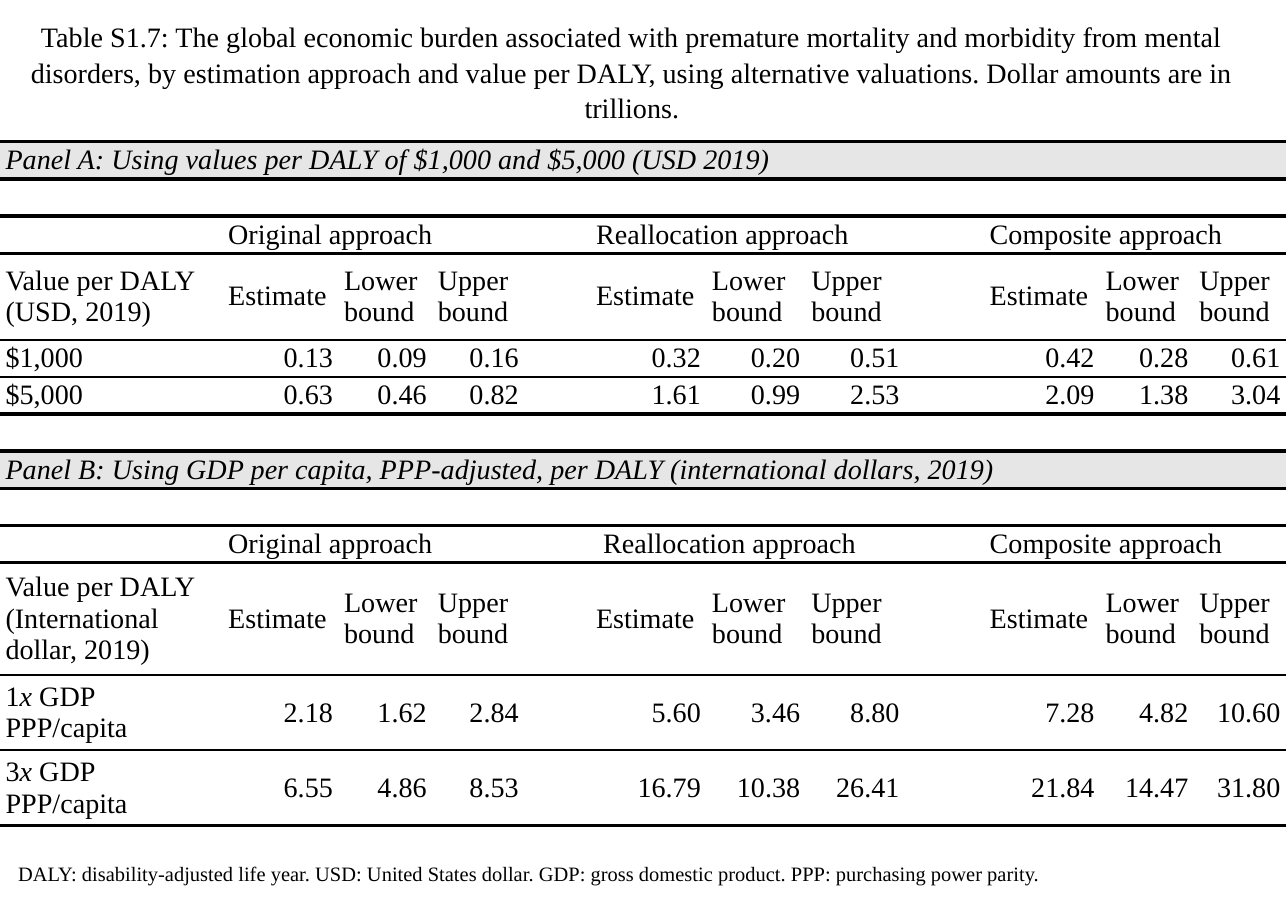
"""Build a slide with a two-panel table of the economic burden of mental disorders."""
from pptx import Presentation, util as u
from pptx.dml.color import RGBColor
from pptx.enum import text
from pptx.oxml import ns, xmlchemy

TITLE = ("Table S1.7: The global economic burden associated with premature mortality and "
         "morbidity from mental disorders, by estimation approach and value per DALY, using "
         "alternative valuations. Dollar amounts are in trillions.")
NOTE = ("DALY: disability-adjusted life year. USD: United States dollar. "
        "GDP: gross domestic product. PPP: purchasing power parity.")
MEASURES = ["Estimate", "Lower bound", "Upper bound"]
PANELS = [
    {
        "title": "Panel A: Using values per DALY of $1,000 and $5,000 (USD 2019)",
        "approaches": ["Original approach", "Reallocation approach", "Composite approach"],
        "label": "Value per DALY (USD, 2019)",
        "values": [
            (["$1,000"], "0.13 0.09 0.16 0.32 0.20 0.51 0.42 0.28 0.61"),
            (["$5,000"], "0.63 0.46 0.82 1.61 0.99 2.53 2.09 1.38 3.04"),
        ],
        "header_height": 0.47,
        "value_height": None,
    },
    {
        "title": "Panel B: Using GDP per capita, PPP-adjusted, per DALY (international dollars, 2019)",
        "approaches": ["Original approach", " Reallocation approach", "Composite approach"],
        "label": "Value per DALY (International dollar, 2019)",
        "values": [
            (["1", "x ", "GDP PPP/capita"], "2.18 1.62 2.84 5.60 3.46 8.80 7.28 4.82 10.60"),
            (["3", "x ", "GDP PPP/capita"], "6.55 4.86 8.53 16.79 10.38 26.41 21.84 14.47 31.80"),
        ],
        "header_height": 0.61,
        "value_height": 0.41,
    },
]
THEME = {
    "font": "Times New Roman", "body": 11, "note": 8,
    "ink": RGBColor(0, 0, 0), "band": RGBColor(0xE7, 0xE6, 0xE6),
    "thick": 1.5, "thin": 1,
    "plain_table": "{2D5ABB26-0587-4C30-8999-92F81FD0307C}",
}
COLUMN_WIDTHS = [1.21, 0.63, 0.51, 0.5, 0.36, 0.63, 0.54, 0.54, 0.43, 0.63, 0.51, 0.5]
TABLE_TOP, TABLE_HEIGHT = 0.77, 3.72
PANEL_ROWS, ROW_COUNT = 7, 13
GROUP_STARTS = [1, 5, 9]
VALUE_COLUMNS = [start + offset for start in GROUP_STARTS for offset in range(3)]
ALL_COLUMNS = range(len(COLUMN_WIDTHS))


def add_run(paragraph, words, size=THEME["body"], italic=False):
    run = paragraph.add_run()
    run.text = words
    font = run.font
    font.name, font.size, font.italic = THEME["font"], u.Pt(size), italic
    font.color.rgb = THEME["ink"]


def add_text(slide, box, words, size, spacing, align):
    frame = slide.shapes.add_textbox(*map(u.Inches, box)).text_frame
    frame.word_wrap = True
    frame.auto_size = text.MSO_AUTO_SIZE.SHAPE_TO_FIT_TEXT
    paragraph = frame.paragraphs[0]
    paragraph.alignment, paragraph.line_spacing = align, spacing
    add_run(paragraph, words, size)


def write(cell, parts, italic=False, align=text.PP_ALIGN.LEFT):
    paragraph = cell.text_frame.paragraphs[0]
    paragraph.alignment = align
    for index, words in enumerate(parts):
        add_run(paragraph, words, italic=italic or index == 1)


def add_border(cell, side, width):
    line = xmlchemy.OxmlElement(f"a:{side}")
    line.set("w", str(u.Pt(width)))
    fill = xmlchemy.OxmlElement("a:solidFill")
    color = xmlchemy.OxmlElement("a:srgbClr")
    color.set("val", str(THEME["ink"]))
    fill.append(color)
    line.append(fill)
    cell._tc.get_or_add_tcPr().append(line)


def rule_above(table, row, columns, width):
    for column in columns:
        if row > 0:
            add_border(table.cell(row - 1, column), "lnB", width)
        if row < ROW_COUNT:
            add_border(table.cell(row, column), "lnT", width)


def format_cells(table):
    for cell in table.iter_cells():
        cell.margin_left = cell.margin_right = u.Inches(0.03)
        cell.margin_top = cell.margin_bottom = 0
        cell.vertical_anchor = text.MSO_ANCHOR.MIDDLE
        cell.fill.background()
        paragraph = cell.text_frame.paragraphs[0]
        if not paragraph.runs:
            ending = xmlchemy.OxmlElement("a:endParaRPr")
            ending.set("sz", str(THEME["body"] * 100))
            paragraph._p.append(ending)


def fill_panel(table, panel, top):
    approach_row, header_row, value_row = top + 2, top + 3, top + 4
    end_row = value_row + len(panel["values"])
    table.cell(top, 0).merge(table.cell(top, len(COLUMN_WIDTHS) - 1))
    write(table.cell(top, 0), [panel["title"]], italic=True)
    for start, approach in zip(GROUP_STARTS, panel["approaches"]):
        table.cell(approach_row, start).merge(table.cell(approach_row, start + 2))
        write(table.cell(approach_row, start), [approach])
        for offset, measure in enumerate(MEASURES):
            write(table.cell(header_row, start + offset), [measure])
    write(table.cell(header_row, 0), [panel["label"]])
    for row, (label, values) in enumerate(panel["values"], value_row):
        write(table.cell(row, 0), label)
        for column, value in zip(VALUE_COLUMNS, values.split()):
            write(table.cell(row, column), [value], align=text.PP_ALIGN.RIGHT)
    for row, columns, width in [
        (top, ALL_COLUMNS, THEME["thick"]),
        (top + 1, ALL_COLUMNS, THEME["thick"]),
        (approach_row, ALL_COLUMNS, THEME["thick"]),
        (header_row, VALUE_COLUMNS, THEME["thick"]),
        (value_row, ALL_COLUMNS, THEME["thin"]),
        (end_row, ALL_COLUMNS, THEME["thick"]),
    ]:
        rule_above(table, row, columns, width)


def row_heights():
    heights = [None] * ROW_COUNT
    for index, panel in enumerate(PANELS):
        top = index * PANEL_ROWS
        heights[top + 3] = panel["header_height"]
        heights[top + 4:top + 6] = [panel["value_height"]] * 2
    known = [height for height in heights if height]
    line_height = (TABLE_HEIGHT - sum(known)) / (ROW_COUNT - len(known))
    return [height or line_height for height in heights]


def add_burden_table(slide):
    table = slide.shapes.add_table(
        ROW_COUNT, len(COLUMN_WIDTHS), 0, u.Inches(TABLE_TOP),
        u.Inches(7), u.Inches(TABLE_HEIGHT)).table
    table.first_row = table.horz_banding = False
    table._tbl.tblPr.find(ns.qn("a:tableStyleId")).text = THEME["plain_table"]
    for column, width in zip(table.columns, COLUMN_WIDTHS):
        column.width = u.Inches(width)
    for row, height in zip(table.rows, row_heights()):
        row.height = u.Inches(height)
    for index, panel in enumerate(PANELS):
        fill_panel(table, panel, index * PANEL_ROWS)
    format_cells(table)
    for index in range(len(PANELS)):
        for column in ALL_COLUMNS:
            fill = table.cell(index * PANEL_ROWS, column).fill
            fill.solid()
            fill.fore_color.rgb = THEME["band"]


presentation = Presentation()
presentation.slide_width, presentation.slide_height = u.Inches(7), u.Inches(5)
slide = presentation.slides.add_slide(presentation.slide_layouts[6])
add_text(slide, (0, 0.05, 6.87, 0.66), TITLE, THEME["body"], 1.05, text.PP_ALIGN.CENTER)
add_text(slide, (0, 4.5, 7, 0.33), NOTE, THEME["note"], 2.0, text.PP_ALIGN.LEFT)
add_burden_table(slide)
presentation.save("out.pptx")
